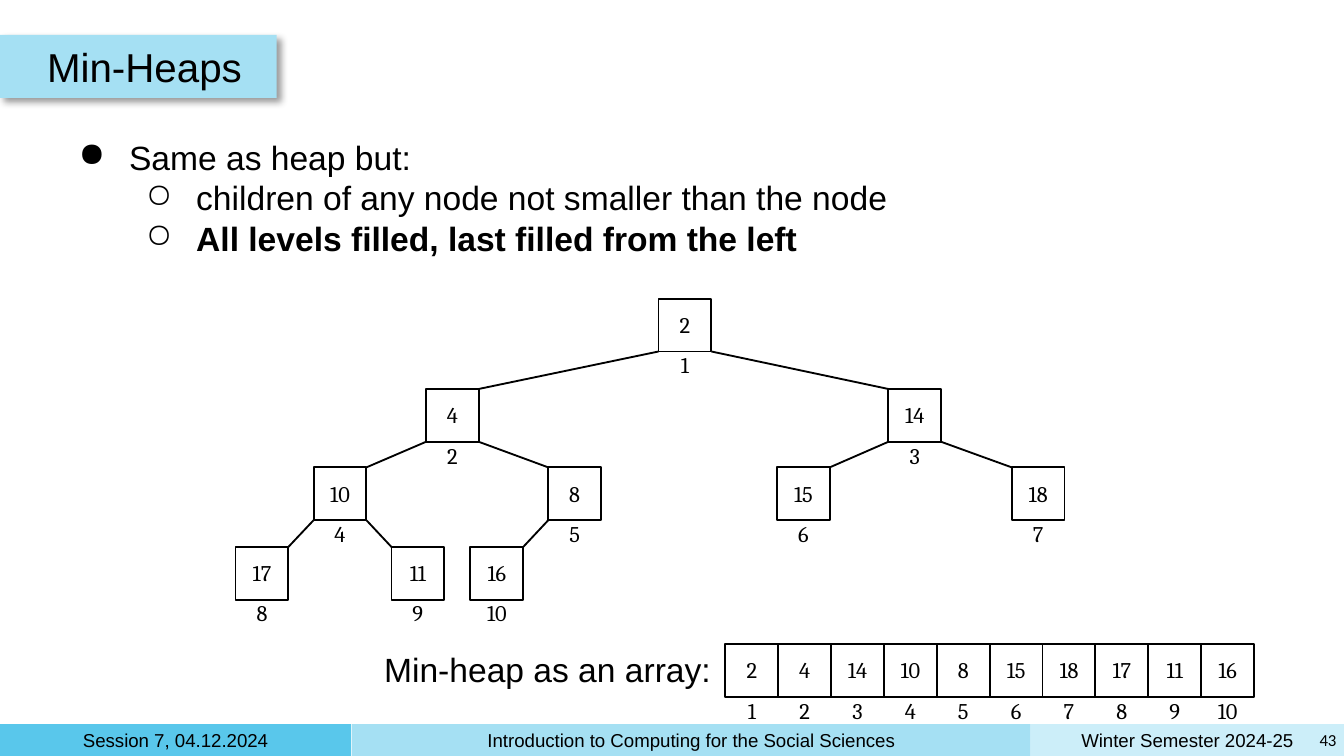
from dataclasses import dataclass

from lxml import etree
from pptx import Presentation
from pptx.dml import color
from pptx.enum import shapes, text
from pptx.oxml import ns
from pptx.util import Pt

BLACK = "000000"
MIDDLE_BLUE = "A5E0F3"
CELL = 28.32
LEFT, CENTER, RIGHT = text.PP_ALIGN.LEFT, text.PP_ALIGN.CENTER, text.PP_ALIGN.RIGHT


@dataclass
class Node:
    value: int
    left: float
    level: int


@dataclass
class Bar:
    label: str
    left: float
    width: float
    fill: str


@dataclass
class Bullet:
    label: str
    level: int
    mark: str
    bold: bool = False


LEVEL_TOPS = [160, 208.4, 250.4, 293]
HEAP = [
    Node(2, 352.8, 0),
    Node(4, 228.2, 1),
    Node(14, 475.9, 1),
    Node(10, 168, 2),
    Node(8, 293.7, 2),
    Node(15, 416.2, 2),
    Node(18, 542, 2),
    Node(17, 126.2, 3),
    Node(11, 209.7, 3),
    Node(16, 252, 3),
]
BARS = [
    Bar("Winter Semester 2024-25", 552, 168, "CCEEF9"),
    Bar("Session 7, 04.12.2024", 0, 188, "59C7EB"),
    Bar("Introduction to Computing for the Social Sciences", 188.4, 363.6, MIDDLE_BLUE),
]
BULLETS = [
    Bullet("Same as heap but:", 0, "●"),
    Bullet("children of any node not smaller than the node", 1, "○"),
    Bullet("All levels filled, last filled from the left", 1, "○", True),
]


def rgb(value: str) -> color.RGBColor:
    return color.RGBColor.from_string(value)


def add_node(parent, tag: str, **attributes):
    return etree.SubElement(parent, ns.qn(tag), attributes)


def add_span(para, label: str, size: float, font: str = "Arial", bold: bool = False) -> None:
    span = para.add_run()
    span.text = label
    span.font.size = Pt(size)
    span.font.name = font
    span.font.bold = bold
    span.font.color.rgb = rgb(BLACK)


def set_frame(frame, anchor, inset: float = 3.6) -> None:
    frame.word_wrap = True
    frame.auto_size = text.MSO_AUTO_SIZE.NONE
    frame.vertical_anchor = anchor
    frame.margin_left = frame.margin_right = Pt(inset)
    frame.margin_top = frame.margin_bottom = Pt(inset)


def add_box(page, left: float, top: float, width: float, height: float,
            anchor=text.MSO_ANCHOR.TOP, inset: float = 3.6):
    box = page.shapes.add_textbox(Pt(left), Pt(top), Pt(width), Pt(height))
    set_frame(box.text_frame, anchor, inset)
    return box.text_frame


def add_label(frame, label: str, size: float, font: str = "Arial", align=LEFT) -> None:
    para = frame.paragraphs[0]
    para.alignment = align
    add_span(para, label, size, font)


def add_rect(page, left: float, top: float, width: float, height: float, fill: str = ""):
    rect = page.shapes.add_shape(
        shapes.MSO_SHAPE.RECTANGLE, Pt(left), Pt(top), Pt(width), Pt(height))
    rect.shadow.inherit = False
    if fill:
        rect.fill.solid()
        rect.fill.fore_color.rgb = rgb(fill)
        rect.line.fill.background()
    else:
        rect.fill.background()
        rect.line.color.rgb = rgb(BLACK)
        rect.line.width = Pt(1)
    return rect


def add_number(page, number: int, left: float, top: float) -> None:
    width = 16.6 if number < 10 else 24
    frame = add_box(page, left + (CELL - width) / 2, top, width, 21.6)
    add_label(frame, str(number), 12, "Cambria", CENTER)


def add_cell(page, value: int, index: int, left: float, top: float) -> None:
    add_rect(page, left, top, CELL, CELL)
    add_number(page, value, left, top + 3.2)
    add_number(page, index, left, top + 24.7)


def add_edge(page, parent: Node, child: Node) -> None:
    on_left = child.left < parent.left
    start = parent.left + (0 if on_left else CELL)
    end = child.left + (CELL if on_left else 0)
    line = page.shapes.add_connector(
        shapes.MSO_CONNECTOR.STRAIGHT,
        Pt(start), Pt(LEVEL_TOPS[parent.level] + CELL),
        Pt(end), Pt(LEVEL_TOPS[child.level]))
    line.line.color.rgb = rgb(BLACK)
    line.line.width = Pt(1)
    add_node(line.element.spPr, "a:effectLst")


def add_bullets(page) -> None:
    frame = add_box(page, 29.5, 69.8, 661.7, 72.7)
    for number, bullet in enumerate(BULLETS):
        para = frame.add_paragraph() if number else frame.paragraphs[0]
        para.level = bullet.level
        para.space_before = Pt(0 if number else 6)
        add_span(para, bullet.label, 18, bold=bullet.bold)
        props = para._p.get_or_add_pPr()
        props.set("marL", str(Pt(36 * (bullet.level + 1))))
        props.set("indent", str(Pt(-27)))
        add_node(add_node(props, "a:buClr"), "a:srgbClr", val=BLACK)
        add_node(props, "a:buChar", char=bullet.mark)


def add_title(page) -> None:
    title = page.shapes.title
    title.left, title.top, title.width, title.height = Pt(21.6), Pt(18.7), Pt(140.4), Pt(33.8)
    set_frame(title.text_frame, text.MSO_ANCHOR.MIDDLE)
    add_label(title.text_frame, "Min-Heaps", 21.6)
    band = add_rect(page, 0, 18.7, 148.3, 33.8, MIDDLE_BLUE)
    effects = band.element.spPr.find(ns.qn("a:effectLst"))
    shadow = add_node(effects, "a:outerShdw", blurRad=str(Pt(4)), dist=str(Pt(3)),
                      dir="2700000", algn="bl", rotWithShape="0")
    tint = add_node(shadow, "a:srgbClr", val=BLACK)
    add_node(tint, "a:alpha", val="40000")
    title.element.addprevious(band.element)


def add_footer(page) -> None:
    for bar in BARS:
        add_rect(page, bar.left, 388, bar.width, 17, bar.fill)
        frame = add_box(page, bar.left + 3.6, 389.6, bar.width - 7.2, 13.8,
                        text.MSO_ANCHOR.MIDDLE)
        add_label(frame, bar.label, 10, align=CENTER)
    frame = add_box(page, 702, 387.5, 17.6, 18, text.MSO_ANCHOR.MIDDLE)
    add_label(frame, "43", 9, "Calibri", RIGHT)


def main() -> None:
    deck = Presentation()
    deck.slide_width, deck.slide_height = Pt(720), Pt(405)
    page = deck.slides.add_slide(deck.slide_layouts.get_by_name("Title Only"))
    add_title(page)
    add_footer(page)
    add_bullets(page)
    for index, node in enumerate(HEAP, 1):
        if index > 1:
            add_edge(page, HEAP[index // 2 - 1], node)
        add_cell(page, node.value, index, node.left, LEVEL_TOPS[node.level])
        add_cell(page, node.value, index, 388.6 + (index - 1) * CELL, 345)
    add_label(add_box(page, 198.7, 340.6, 190, 36, inset=7.2), "Min-heap as an array:", 18)
    deck.save("out.pptx")


if __name__ == "__main__":
    main()
